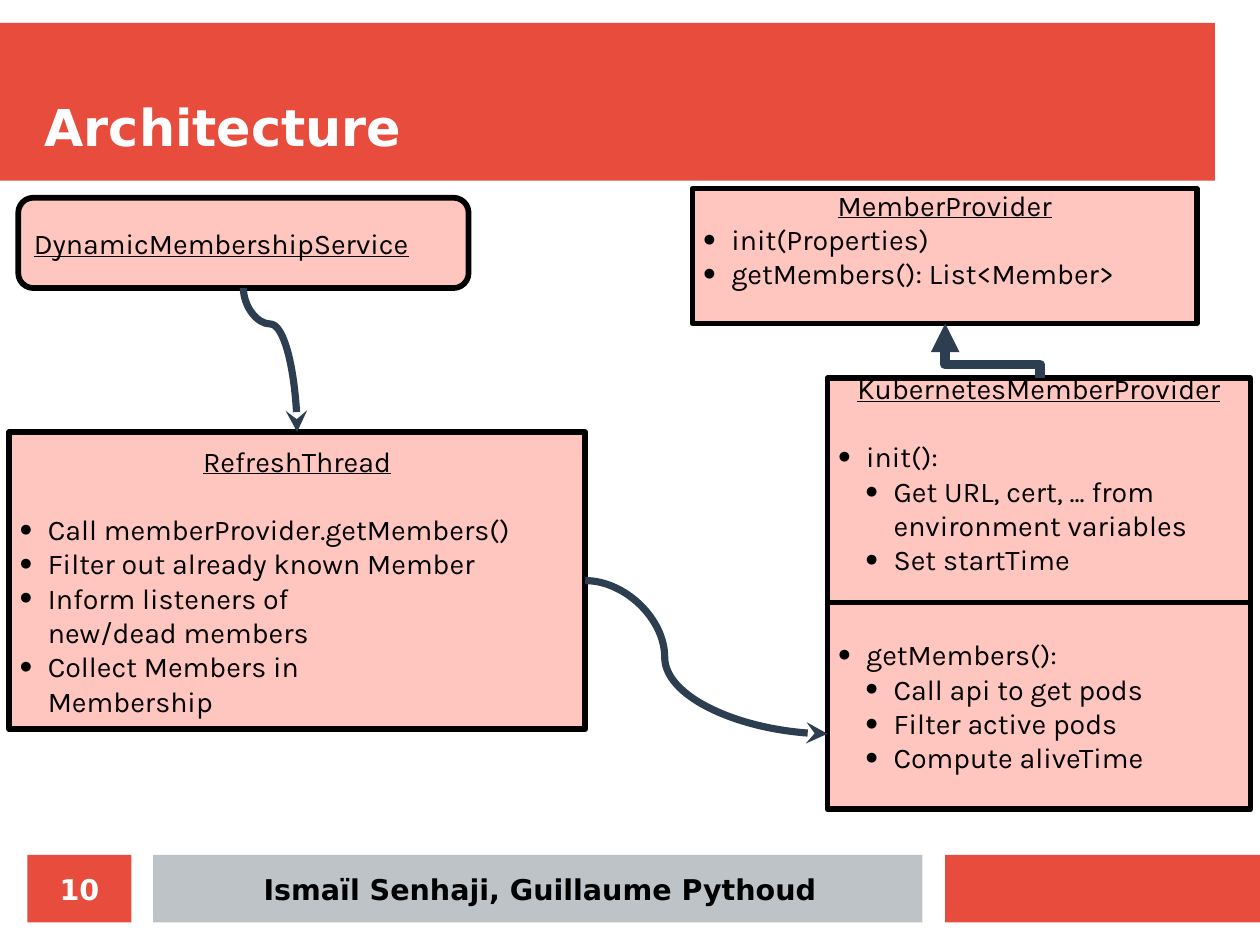
import pptx
import pptx.dml.color
import pptx.enum.shapes
import pptx.enum.text
import pptx.oxml
import pptx.oxml.ns
import pptx.util
from lxml import etree

Inches = pptx.util.Inches
Pt = pptx.util.Pt
Shape = pptx.enum.shapes.MSO_SHAPE
Connector = pptx.enum.shapes.MSO_CONNECTOR
Anchor = pptx.enum.text.MSO_ANCHOR
Align = pptx.enum.text.PP_ALIGN
qn = pptx.oxml.ns.qn

COLOURS = {
    "red": "E74C3C",
    "grey": "BDC3C7",
    "pink": "FFC5BF",
    "navy": "2C3E50",
    "black": "000000",
    "white": "FFFFFF",
}
COLOURS = {name: pptx.dml.color.RGBColor.from_string(code) for name, code in COLOURS.items()}
CM_PER_INCH = 2.54
LINE_HEIGHT = 0.3
INDENT = 0.24


def add_block(kind, place, fill):
    """Add a filled shape without outline or shadow."""
    block = page.shapes.add_shape(kind, *map(Inches, place))
    block.shadow.inherit = False
    block.fill.solid()
    block.fill.fore_color.rgb = COLOURS[fill]
    block.line.fill.background()
    return block


def style_text(para, font, size, colour, bold=False, underline=False):
    for span in para.runs:
        span.font.name = font
        span.font.size = Pt(size)
        span.font.color.rgb = COLOURS[colour]
        span.font.bold = bold
        span.font.underline = underline


# The page measures 28 by 21 cm
deck = pptx.Presentation()
deck.slide_width = Inches(28 / CM_PER_INCH)
deck.slide_height = Inches(21 / CM_PER_INCH)
page = deck.slides.add_slide(deck.slide_layouts[5])

# Title over its red band
title = page.shapes.title
band = add_block(Shape.RECTANGLE, (0, 0.2, 10.63, 1.38), "red")
title.element.addprevious(band.element)
title.left, title.top, title.width, title.height = map(Inches, (0.39, 0.39, 10.24, 0.98))
title.text_frame.text = "Architecture"
title.text_frame.auto_size = pptx.enum.text.MSO_AUTO_SIZE.NONE
title.text_frame.vertical_anchor = Anchor.BOTTOM
title.text_frame.paragraphs[0].alignment = Align.LEFT
style_text(title.text_frame.paragraphs[0], "DejaVu Sans", 32, "white", bold=True)

# Footer: page number, authors, end bar; the last value is the left inset
FOOTER = [
    (0.24, 0.91, "red", "10", "white", 0),
    (1.34, 6.73, "grey", "Ismaïl Senhaji, Guillaume Pythoud", "black", 0.04),
    (8.27, 2.76, "red", "", "white", 0),
]
insets = [(title.text_frame, 0)]
for left, width, fill, text, colour, inset in FOOTER:
    bar = add_block(Shape.RECTANGLE, (left, 7.48, width, 0.59), fill)
    if text:
        frame = bar.text_frame
        frame.text = text
        frame.vertical_anchor = Anchor.MIDDLE
        frame.paragraphs[0].alignment = Align.CENTER
        style_text(frame.paragraphs[0], "DejaVu Sans", 18, colour, bold=True)
        insets.append((frame, inset))
for frame, inset in insets:
    frame.margin_left = Inches(inset)
    frame.margin_right = frame.margin_top = frame.margin_bottom = 0

# Class boxes: shape, place, heading, heading alignment, lines of space
# after the heading and at the bottom, items as (level, text)
PROCESS = Shape.FLOWCHART_PROCESS
CLASSES = [
    (Shape.FLOWCHART_ALTERNATE_PROCESS, (0.16, 1.73, 3.94, 0.79),
     "DynamicMembershipService", Align.LEFT, 0, 0, []),
    (PROCESS, (0.08, 3.78, 5.04, 2.6), "RefreshThread", Align.CENTER, 1, 0, [
        (0, "Call memberProvider.getMembers()"),
        (0, "Filter out already known Member"),
        (0, "Inform listeners of \vnew/dead members"),
        (0, "Collect Members in \vMembership"),
    ]),
    (PROCESS, (7.24, 3.31, 3.7, 1.97), "KubernetesMemberProvider", Align.CENTER, 1, 1, [
        (0, "init():"),
        (1, "Get URL, cert, ... from \venvironment variables"),
        (1, "Set startTime"),
    ]),
    (PROCESS, (7.24, 5.27, 3.7, 1.81), "", Align.CENTER, 0, 0, [
        (0, "getMembers():"),
        (1, "Call api to get pods"),
        (1, "Filter active pods"),
        (1, "Compute aliveTime"),
    ]),
    (PROCESS, (6.06, 1.65, 4.41, 1.18), "MemberProvider", Align.CENTER, 0, 1, [
        (0, "init(Properties)"),
        (0, "getMembers(): List<Member>"),
    ]),
]
for kind, place, heading, alignment, gap_lines, bottom_lines, items in CLASSES:
    box = add_block(kind, place, "pink")
    box.line.color.rgb = COLOURS["black"]
    box.line.width = Pt(3.6)
    frame = box.text_frame
    frame.word_wrap = True
    frame.vertical_anchor = Anchor.MIDDLE
    frame.margin_bottom = Inches(0.05 + bottom_lines * LINE_HEIGHT)
    para = frame.paragraphs[0]
    if heading:
        para.text = heading
        para.alignment = alignment
        para.space_after = Inches(gap_lines * LINE_HEIGHT)
        style_text(para, "Karla", 18, "black", underline=True)
    for number, (level, text) in enumerate(items):
        if heading or number:
            para = frame.add_paragraph()
        para.text = text
        para.level = level
        para.alignment = Align.LEFT
        style_text(para, "Karla", 18, "black")
        props = para._p.get_or_add_pPr()
        props.set("marL", str(Inches(INDENT * (level + 1))))
        props.set("indent", str(-Inches(INDENT)))
        bullet_colour = etree.SubElement(props, qn("a:buClr"))
        etree.SubElement(bullet_colour, qn("a:srgbClr"), val=str(COLOURS["black"]))
        etree.SubElement(props, qn("a:buSzPct"), val="45000")
        etree.SubElement(props, qn("a:buFont"), typeface="Karla")
        etree.SubElement(props, qn("a:buChar"), char="●")

# Arrows: kind, start, end, leaves downwards, bend position, width, arrowhead
ARROWS = [
    (Connector.CURVE, (5.12, 5.08), (7.24, 6.42), False, 32800, 4.5, "tailEnd", "stealth"),
    (Connector.ELBOW, (8.27, 2.83), (9.1, 3.31), True, 75000, 6, "headEnd", "triangle"),
    (Connector.CURVE, (2.13, 2.52), (2.6, 3.78), True, 25000, 4.5, "tailEnd", "stealth"),
]
for kind, (x1, y1), (x2, y2), downwards, bend, width, end, head in ARROWS:
    if downwards:
        # A mirrored path, turned by 270 degrees about its middle
        middle_x, middle_y = (x1 + x2) / 2, (y1 + y2) / 2
        half_x, half_y = (y2 - y1) / 2, (x2 - x1) / 2
        x1, x2 = middle_x + half_x, middle_x - half_x
        y1, y2 = middle_y - half_y, middle_y + half_y
    arrow = page.shapes.add_connector(kind, *map(Inches, (x1, y1, x2, y2)))
    props = arrow._element.spPr
    if downwards:
        props.find(qn("a:xfrm")).set("rot", str(270 * 60000))
    guides = props.find(qn("a:prstGeom")).get_or_add_avLst()
    etree.SubElement(guides, qn("a:gd"), name="adj1", fmla=f"val {bend}")
    arrow.line.color.rgb = COLOURS["navy"]
    arrow.line.width = Pt(width)
    etree.SubElement(arrow.line._get_or_add_ln(), qn("a:" + end), type=head)
    etree.SubElement(props, qn("a:effectLst"))

deck.save("out.pptx")
